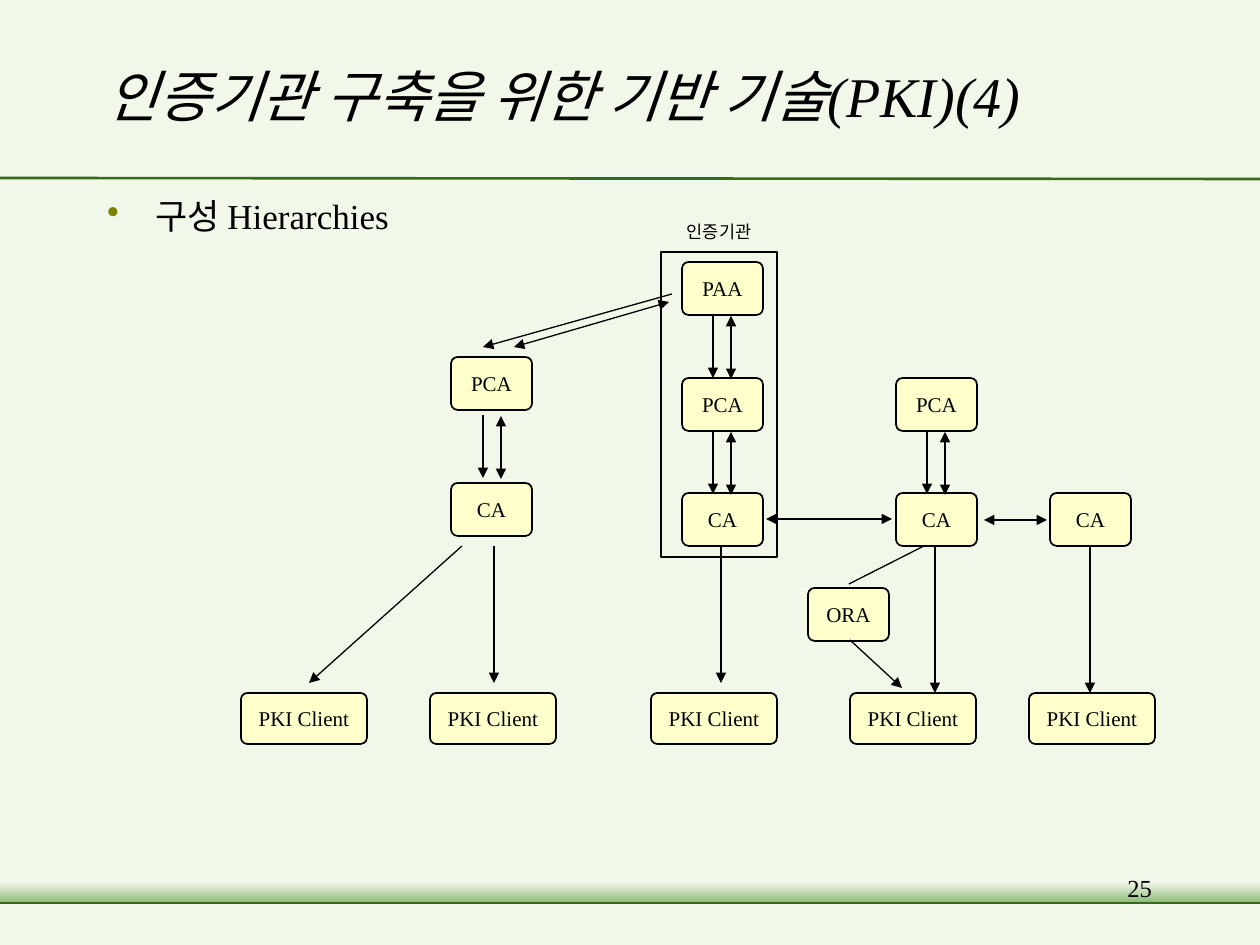
import pptx
import pptx.util
import pptx.dml.color
import pptx.enum.shapes
import pptx.enum.text
import pptx.oxml
from lxml import etree

EMU_PER_PX = 914400 / 126
BLACK = pptx.dml.color.RGBColor(0x00, 0x00, 0x00)
PALE_GREEN = pptx.dml.color.RGBColor(0xF1, 0xF7, 0xE9)
MID_GREEN = pptx.dml.color.RGBColor(0x8D, 0xBA, 0x76)
DARK_GREEN = pptx.dml.color.RGBColor(0x36, 0x6B, 0x1B)
CREAM = pptx.dml.color.RGBColor(0xFF, 0xFF, 0xCC)
OLIVE = pptx.dml.color.RGBColor(0x80, 0x80, 0x00)
SERIF = "Times New Roman"
HANGUL = "Noto Sans CJK KR"
ALIGN = pptx.enum.text.PP_ALIGN
ANCHOR = pptx.enum.text.MSO_ANCHOR
SHAPE = pptx.enum.shapes.MSO_SHAPE

NODE_SIZE = (81, 53)
CLIENT_SIZE = (126, 51)
CLIENT_TOP = 693
NODES = [
    ("PAA", 682, 262), ("PCA", 682, 378), ("CA", 682, 493),
    ("PCA", 451, 357), ("CA", 451, 483),
    ("PCA", 896, 378), ("CA", 896, 493),
    ("ORA", 808, 588), ("CA", 1050, 493),
]
CLIENT_LEFTS = [241, 430, 651, 850, 1029]
ARROW_PAIRS = [(483, 415), (713, 431), (713, 315), (927, 431)]
ONE_WAY = [
    (672, 294, 483, 347), (462, 546, 309, 683), (494, 546, 494, 683),
    (721, 546, 721, 683), (850, 640, 902, 688), (935, 546, 935, 693),
    (1090, 546, 1090, 693),
]
TWO_WAY = [(669, 302, 514, 347), (766, 519, 892, 519), (984, 520, 1047, 520)]


def px(length):
    return pptx.util.Emu(round(length * EMU_PER_PX))


def write_text(box, text, *, size, font=SERIF, italic=False, align=ALIGN.LEFT,
               anchor=ANCHOR.TOP, wrap=True, margins=(13, 6), bullet=None):
    frame = box.text_frame
    frame.word_wrap = wrap
    frame.vertical_anchor = anchor
    frame.margin_left = frame.margin_right = px(margins[0])
    frame.margin_top = frame.margin_bottom = px(margins[1])
    para = frame.paragraphs[0]
    para.alignment = align
    if bullet:
        add_bullet(para, bullet)
    span = para.add_run()
    span.text = text
    span.font.size = pptx.util.Pt(size)
    span.font.name = font
    span.font.italic = italic
    span.font.color.rgb = BLACK
    east_asian = etree.SubElement(span.font._element, pptx.oxml.ns.qn("a:ea"))
    east_asian.set("typeface", HANGUL)


def add_bullet(para, mark):
    properties = para._p.get_or_add_pPr()
    properties.set("marL", str(px(48)))
    properties.set("indent", str(-px(48)))
    color = etree.SubElement(properties, pptx.oxml.ns.qn("a:buClr"))
    etree.SubElement(color, pptx.oxml.ns.qn("a:srgbClr")).set("val", str(OLIVE))
    etree.SubElement(properties, pptx.oxml.ns.qn("a:buChar")).set("char", mark)


def add_label(page, text, left, top, width, height, **text_format):
    box = page.shapes.add_textbox(px(left), px(top), px(width), px(height))
    write_text(box, text, **text_format)


def add_box(page, kind, left, top, width, height, fill, line_width=None):
    box = page.shapes.add_shape(kind, px(left), px(top), px(width), px(height))
    box.shadow.inherit = False
    box.fill.solid()
    box.fill.fore_color.rgb = fill
    if line_width:
        box.line.color.rgb = BLACK
        box.line.width = pptx.util.Pt(line_width)
    else:
        box.line.fill.background()
    return box


def add_node(page, text, left, top, size):
    node = add_box(page, SHAPE.ROUNDED_RECTANGLE, left, top, *size, CREAM, 1)
    node.adjustments[0] = 0.125
    write_text(node, text, size=12, align=ALIGN.CENTER, anchor=ANCHOR.MIDDLE, wrap=False)


def add_line(page, ends, color=BLACK, width=0.75, arrows=()):
    line = page.shapes.add_connector(
        pptx.enum.shapes.MSO_CONNECTOR.STRAIGHT, *[px(end) for end in ends])
    line.line.color.rgb = color
    line.line.width = pptx.util.Pt(width)
    outline = line.line._get_or_add_ln()
    for arrow in arrows:
        etree.SubElement(outline, pptx.oxml.ns.qn(f"a:{arrow}")).set("type", "triangle")
    etree.SubElement(line._element.spPr, pptx.oxml.ns.qn("a:effectLst"))


def add_background(page):
    page.background.fill.solid()
    page.background.fill.fore_color.rgb = PALE_GREEN
    add_line(page, (0, 178, 1260, 179), DARK_GREEN, 1.5)
    band = add_box(page, SHAPE.RECTANGLE, 0, 882, 1260, 21, PALE_GREEN)
    band.fill.gradient()
    band.fill.gradient_angle = 270
    for stop, color, position in zip(band.fill.gradient_stops, (PALE_GREEN, MID_GREEN), (0, 1)):
        stop.color.rgb = color
        stop.position = position
    add_line(page, (0, 903, 1260, 903), DARK_GREEN, 1.5)


def add_hierarchy(page):
    add_box(page, SHAPE.RECTANGLE, 661, 252, 116, 305, PALE_GREEN, 0.75)
    add_label(page, "인증기관", 672, 220, 94, 24, size=10, font=HANGUL,
              align=ALIGN.CENTER, margins=(8, 1))
    for text, left, top in NODES:
        add_node(page, text, left, top, NODE_SIZE)
    for left in CLIENT_LEFTS:
        add_node(page, "PKI Client", left, CLIENT_TOP, CLIENT_SIZE)
    pairs_down = [(x, y, x, y + 63) for x, y in ARROW_PAIRS]
    pairs_both = [(x + 18, y + 1, x + 18, y + 64) for x, y in ARROW_PAIRS]
    for ends in ONE_WAY + pairs_down:
        add_line(page, ends, arrows=("tailEnd",))
    for ends in TWO_WAY + pairs_both:
        add_line(page, ends, arrows=("headEnd", "tailEnd"))
    add_line(page, (924, 546, 849, 584))


def main():
    deck = pptx.Presentation()
    deck.slide_width = px(1260)
    deck.slide_height = px(945)
    page = deck.slides.add_slide(deck.slide_layouts[6])
    add_background(page)
    add_label(page, "인증기관 구축을 위한 기반 기술(PKI)(4)", 94, 32, 1071, 126,
              size=32, italic=True, anchor=ANCHOR.MIDDLE)
    add_label(page, "구성 Hierarchies", 94, 189, 357, 63, size=20, bullet="•")
    add_hierarchy(page)
    add_label(page, "25", 903, 867, 262, 63, size=14, align=ALIGN.RIGHT)
    deck.save("out.pptx")


if __name__ == "__main__":
    main()
